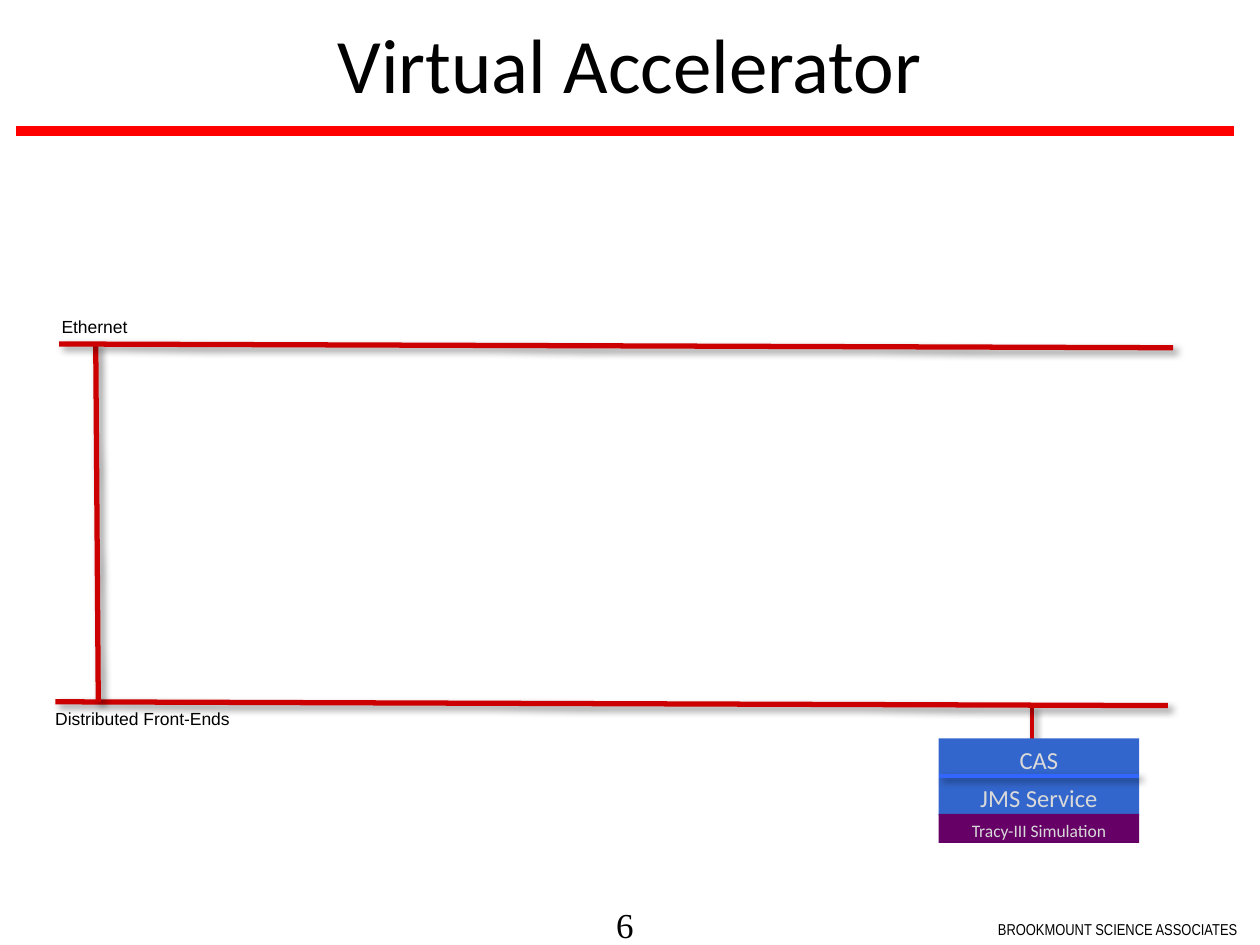
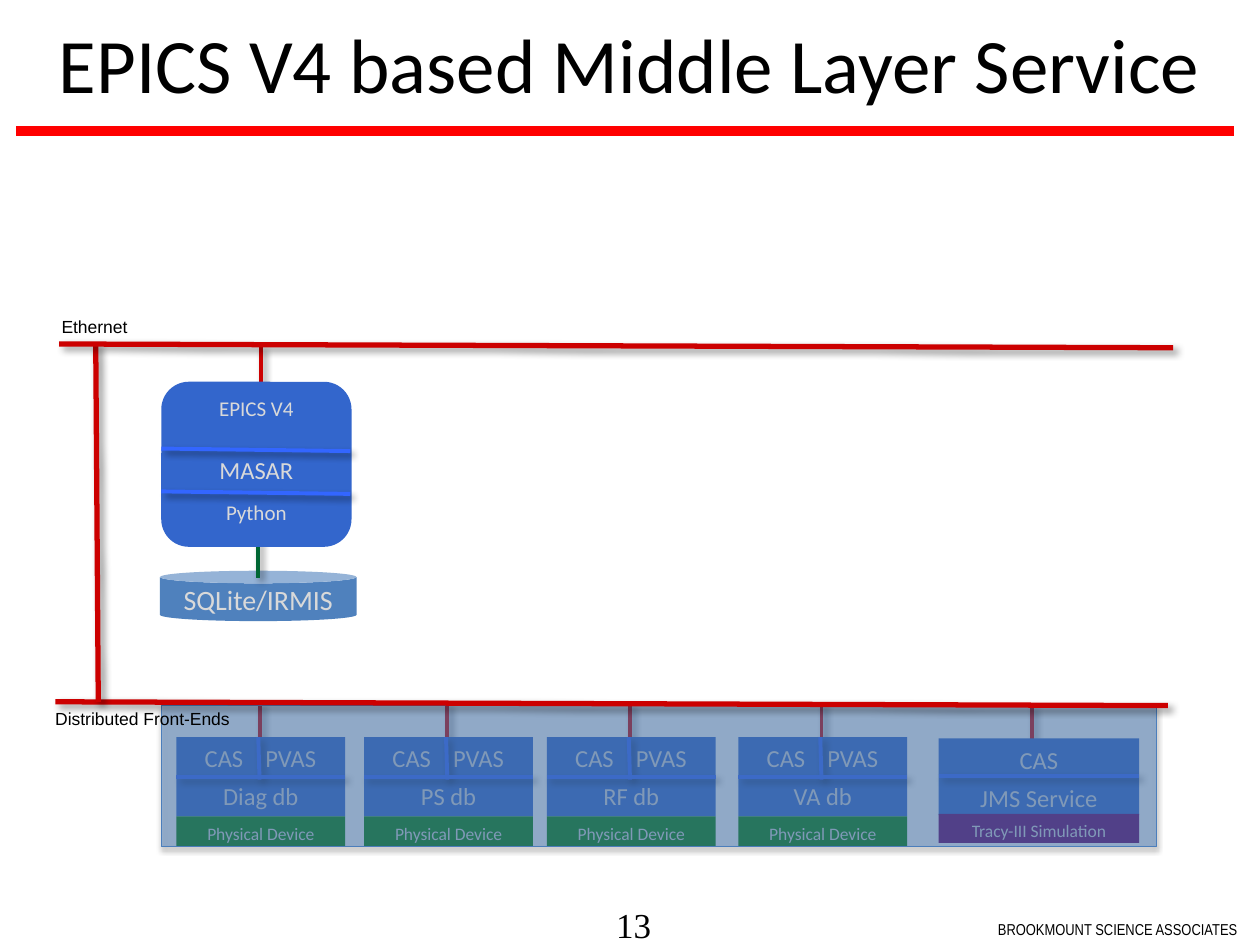
from dataclasses import dataclass

from lxml.etree import SubElement
from pptx import Presentation
from pptx.dml.color import RGBColor
from pptx.enum.shapes import MSO_CONNECTOR, MSO_SHAPE
from pptx.enum.text import MSO_ANCHOR, MSO_AUTO_SIZE, PP_ALIGN
from pptx.oxml.ns import qn
from pptx.util import Emu, Inches, Pt


@dataclass(frozen=True)
class Theme:
    black: str = "000000"
    rule: str = "FF0000"
    bus: str = "CC0000"
    box: str = "3366CC"
    split: str = "3366FF"
    device: str = "008000"
    model: str = "660066"
    store: str = "4F81BD"
    edge: str = "4B7EBC"
    link: str = "006633"
    pale: str = "D9D9D9"
    sans: str = "Calibri"
    label: str = "Arial"
    narrow: str = "Arial Narrow"
    serif: str = "Times New Roman"
    title: int = 44
    page: int = 20
    large: int = 16
    body: int = 14
    mid: int = 12
    small: int = 10
    foot: int = 9


T = Theme()
THICK, THIN = 3, 2.25
SOFT = (43, 4, 3, 45)
DROP = (35, 3.1, 1.8, 90)
TOP = 5.85  # upper edge of the front-end boxes


def paint(shape, shadow=None):
    """Set the only effect: a shadow of (opacity %, blur pt, distance pt, angle), or none."""
    effects = SubElement(shape._element.spPr, qn("a:effectLst"))
    if shadow:
        alpha, blur, dist, angle = shadow
        outer = SubElement(effects, qn("a:outerShdw"), blurRad=str(Pt(blur)),
                           dist=str(Pt(dist)), dir=str(angle * 60000),
                           algn="tl", rotWithShape="0")
        color = SubElement(outer, qn("a:srgbClr"), val=T.black)
        SubElement(color, qn("a:alpha"), val=str(alpha * 1000))


def line(slide, x1, y1, x2, y2, color, width=THIN, shadow=SOFT):
    wire = slide.shapes.add_connector(
        MSO_CONNECTOR.STRAIGHT, Inches(x1), Inches(y1), Inches(x2), Inches(y2))
    wire.line.color.rgb = RGBColor.from_string(color)
    wire.line.width = Pt(width)
    paint(wire, shadow)


def write(par, text, size, color=T.pale, font=T.sans):
    run = par.add_run()
    run.text = text
    run.font.size = Pt(size)
    run.font.name = font
    run.font.color.rgb = RGBColor.from_string(color)


def tabs(par, *stops):
    """Centre words on tab stops given in inches."""
    par.alignment = PP_ALIGN.LEFT
    stop_list = SubElement(par._p.get_or_add_pPr(), qn("a:tabLst"))
    for stop in stops:
        SubElement(stop_list, qn("a:tab"), pos=str(Inches(stop)), algn="ctr")


def block(slide, x, y, w, h, fill, rows=(), kind=MSO_SHAPE.RECTANGLE, anchor=MSO_ANCHOR.TOP):
    """Draw a filled shape; each row is (text, size, space before)."""
    shape = slide.shapes.add_shape(kind, Inches(x), Inches(y), Inches(w), Inches(h))
    shape.fill.solid()
    shape.fill.fore_color.rgb = RGBColor.from_string(fill)
    shape.line.fill.background()
    frame = shape.text_frame
    frame.vertical_anchor = anchor
    for i, (text, size, gap) in enumerate(rows):
        par = frame.add_paragraph() if i else frame.paragraphs[0]
        par.alignment = PP_ALIGN.CENTER
        if gap:
            par.space_before = Pt(gap)
        if "\t" in text:
            tabs(par, 0.28, 0.81)
        write(par, text, size)
    return shape


def label(slide, x, y, w, h, text, size, font, inset=(0.1, 0.05)):
    frame = slide.shapes.add_textbox(Inches(x), Inches(y), Inches(w), Inches(h)).text_frame
    frame.word_wrap = False
    frame.margin_left = frame.margin_right = Inches(inset[0])
    frame.margin_top = frame.margin_bottom = Inches(inset[1])
    write(frame.paragraphs[0], text, size, T.black, font)


def page(deck, title, number):
    """Add a slide with the shared title, rule and footer."""
    slide = deck.slides.add_slide(deck.slide_layouts[5])
    line(slide, 9.79, 1.04, 0.13, 1.04, T.rule, 6, None)
    label(slide, 4.89, 7.17, 0.43, 0.33, number, T.page, T.serif, (0, 0))
    label(slide, 7.92, 7.25, 1.92, 0.25, "BROOKMOUNT SCIENCE ASSOCIATES",
          T.foot, T.narrow, (0, 0.05))
    head = slide.shapes.title
    head.left, head.top, head.width, head.height = Emu(0), Emu(0), Inches(10), Inches(0.99)
    frame = head.text_frame
    frame.auto_size = MSO_AUTO_SIZE.NONE
    frame.vertical_anchor = MSO_ANCHOR.MIDDLE
    frame.paragraphs[0].alignment = PP_ALIGN.CENTER
    write(frame.paragraphs[0], title, T.title, T.black)
    return slide


def network(slide):
    line(slide, 0.44, 5.57, 9.27, 5.6, T.bus, THICK)
    line(slide, 0.76, 2.73, 0.78, 5.57, T.bus, THICK)
    line(slide, 0.47, 2.73, 9.31, 2.76, T.bus, THICK)
    label(slide, 0.39, 2.46, 0.74, 0.27, "Ethernet", T.small, T.label)
    label(slide, 0.34, 5.57, 1.6, 0.27, "Distributed Front-Ends", T.small, T.label)


def device(slide, x, name):
    """Draw a front-end that serves one physical device."""
    width = 1.34
    line(slide, x + 0.66, 5.58, x + 0.66, 5.88, T.bus)
    block(slide, x, TOP, width, 0.63, T.box,
          [("\tCAS\tPVAS", T.body, 0), (name, T.body, 5)])
    line(slide, x + 0.65, TOP, x + 0.66, 6.19, T.split)
    line(slide, x, 6.17, x + width, 6.17, T.split)
    block(slide, x, 6.48, width, 0.24, T.device, [("Physical Device", T.small, 0)])


def model(slide):
    """Draw the front-end that serves the simulation."""
    x, width = 7.45, 1.59
    line(slide, 8.19, 5.6, 8.19, 5.9, T.bus)
    block(slide, x, 5.86, width, 0.61, T.box, [("CAS", T.body, 0), ("JMS Service", T.body, 5)])
    line(slide, x, 6.16, x + width, 6.16, T.split)
    block(slide, x, 6.46, width, 0.23, T.model, [("Tracy-III Simulation", T.small, 0)])


def veil(slide):
    """Dim the front-ends with a half-clear panel."""
    panel = block(slide, 1.28, 5.6, 7.9, 1.12, T.store)
    color = panel._element.spPr.find(qn("a:solidFill"))[0]
    SubElement(color, qn("a:alpha"), val="50000")
    panel.line.color.rgb = RGBColor.from_string(T.edge)
    panel.line.width = Pt(0.75)
    paint(panel, DROP)


def service(slide):
    """Draw the middle layer service and its database."""
    can = block(slide, 1.27, 4.53, 1.56, 0.4, T.store, [("SQLite/IRMIS", T.large, 0)],
                MSO_SHAPE.CAN, MSO_ANCHOR.MIDDLE)
    can.shadow.inherit = False
    line(slide, 2.05, 4.28, 2.05, 4.59, T.link)
    line(slide, 2.07, 2.75, 2.07, 3.05, T.bus)
    stack = block(slide, 1.28, 3.03, 1.51, 1.31, T.box,
                  [("EPICS V4", T.mid, 0), ("MASAR", T.body, 19.5), ("Python", T.mid, 8.6)],
                  MSO_SHAPE.ROUNDED_RECTANGLE)
    stack.shadow.inherit = False
    for y in (3.56, 3.9):
        line(slide, 1.28, y, 2.78, y + 0.02, T.split)


def flat(slide):
    """Give every preset shape without an effect of its own no shadow."""
    for shape in slide.shapes:
        props = shape._element.spPr
        if not shape.is_placeholder and props.find(qn("a:effectLst")) is None:
            paint(shape)


def main():
    deck = Presentation()
    deck.slide_width, deck.slide_height = Inches(10), Inches(7.5)

    slide = page(deck, "Virtual Accelerator", "6")
    model(slide)
    network(slide)
    flat(slide)

    slide = page(deck, "EPICS V4 based Middle Layer Service", "13")
    fronts = {"Diag db": 1.4, "PS db": 2.89, "RF db": 4.34, "VA db": 5.86}
    for name, x in fronts.items():
        device(slide, x, name)
    model(slide)
    veil(slide)
    service(slide)
    network(slide)
    flat(slide)

    deck.save("out.pptx")


if __name__ == "__main__":
    main()
